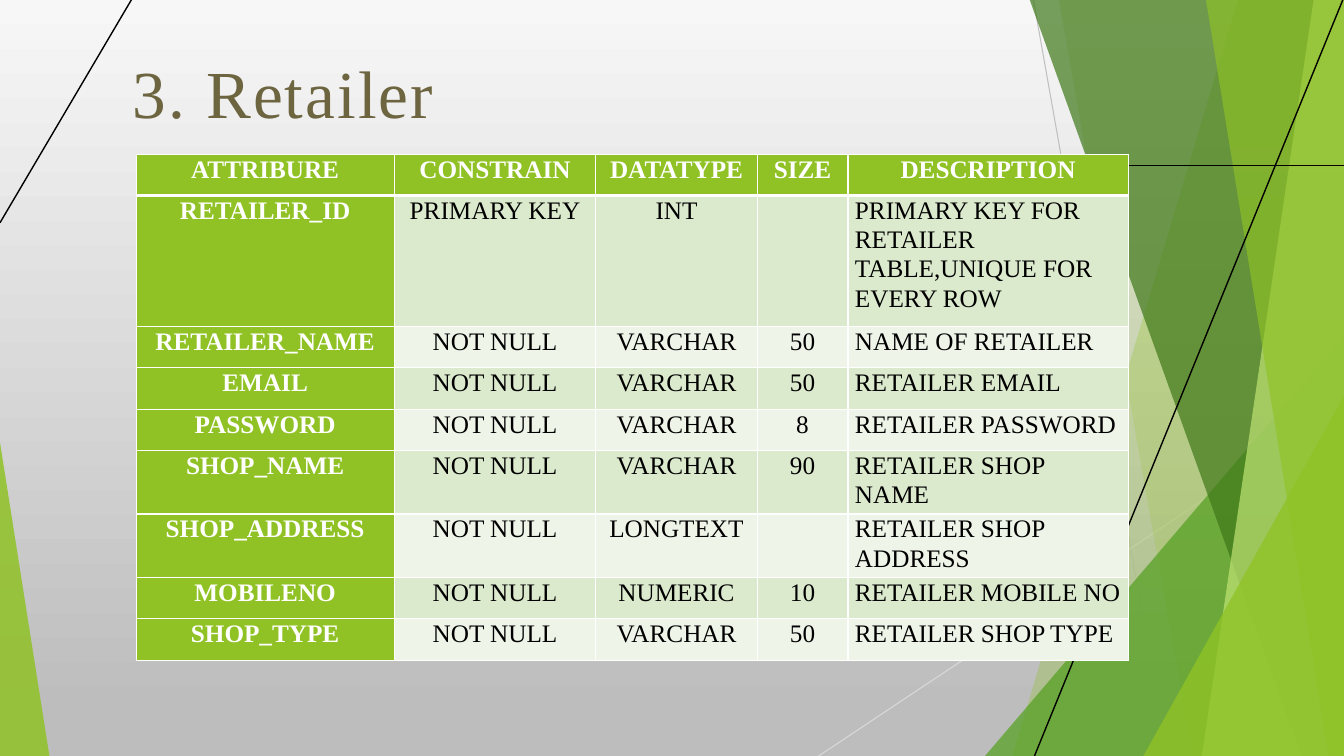
from dataclasses import dataclass

from lxml import etree
from pptx import Presentation
from pptx.dml.color import RGBColor
from pptx.enum.shapes import MSO_CONNECTOR, MSO_SHAPE
from pptx.enum.text import MSO_ANCHOR, PP_ALIGN
from pptx.oxml.ns import qn
from pptx.util import Inches, Pt

STRAIGHT = MSO_CONNECTOR.STRAIGHT
TRIANGLE = MSO_SHAPE.ISOSCELES_TRIANGLE
BOTTOM = MSO_ANCHOR.BOTTOM
CENTER, LEFT = PP_ALIGN.CENTER, PP_ALIGN.LEFT


@dataclass(frozen=True)
class Theme:
    """Colours, font and type sizes of the slide."""
    font: str = "Times New Roman"
    title_size: int = 48
    cell_size: int = 18
    title: str = "6D6540"
    black: str = "000000"
    white: str = "FFFFFF"
    bg_top: str = "F7F7F7"
    bg_bottom: str = "BDBDBD"
    grey: str = "BFBFBF"
    pale_grey: str = "D9D9D9"
    lime: str = "90C226"
    pale_lime: str = "C0E474"
    green: str = "54A021"
    dark_green: str = "3F7819"
    band_dark: str = "DBE9CD"
    band_light: str = "EEF4E8"


THEME = Theme()
TOP, RIGHT, BASE = -0.01, 13.33, 7.5

COLUMN_WIDTHS = [2.56, 2, 1.6, 0.9, 2.78]
ROW_HEIGHT, TALL_ROW_HEIGHT = 0.41, 1.3
ROWS = [
    ("ATTRIBURE", "CONSTRAIN", "DATATYPE", "SIZE", "DESCRIPTION"),
    ("RETAILER_ID", "PRIMARY KEY", "INT", "",
     "PRIMARY KEY FOR RETAILER TABLE,UNIQUE FOR EVERY ROW"),
    ("RETAILER_NAME", "NOT NULL", "VARCHAR", "50", "NAME OF RETAILER"),
    ("EMAIL", "NOT NULL", "VARCHAR", "50", "RETAILER EMAIL"),
    ("PASSWORD", "NOT NULL", "VARCHAR", "8", "RETAILER PASSWORD"),
    ("SHOP_NAME", "NOT NULL", "VARCHAR", "90", "RETAILER SHOP NAME"),
    ("SHOP_ADDRESS", "NOT NULL", "LONGTEXT", "", "RETAILER SHOP ADDRESS"),
    ("MOBILENO", "NOT NULL", "NUMERIC", "10", "RETAILER MOBILE NO"),
    ("SHOP_TYPE", "NOT NULL", "VARCHAR", "50", "RETAILER SHOP TYPE"),
]


def rgb(color):
    """Turn a hex string into a colour."""
    return RGBColor.from_string(color)


def set_background(s):
    """Fill the slide with a vertical grey gradient."""
    fill = s.background.fill
    fill.gradient()
    fill.gradient_angle = 270
    stops = ((0, THEME.bg_top), (0.94, THEME.bg_bottom))
    for stop, (position, color) in zip(fill.gradient_stops, stops):
        stop.position = position
        stop.color.rgb = rgb(color)


def paint(shape, color, opacity):
    """Give a shape a translucent fill without line or shadow."""
    shape.shadow.inherit = False
    shape.line.fill.background()
    shape.fill.solid()
    shape.fill.fore_color.rgb = rgb(color)
    clr = shape.fill._xPr.find(f".//{qn('a:srgbClr')}")
    etree.SubElement(clr, qn("a:alpha"), val=str(opacity * 1000))


def add_facet(s, top_left, top_right, bottom_left, color, opacity):
    """Draw a slanted panel that runs to the right edge of the slide."""
    points = [(top_right, TOP), (RIGHT, BASE), (bottom_left, BASE)]
    builder = s.shapes.build_freeform(Inches(top_left), Inches(TOP), scale=1.0)
    builder.add_line_segments([(Inches(x), Inches(y)) for x, y in points])
    paint(builder.convert_to_shape(), color, opacity)


def add_triangle(s, left, top, width, apex, color, opacity):
    """Draw a triangle that stands on the bottom edge of the slide."""
    shape = s.shapes.add_shape(TRIANGLE, Inches(left), Inches(top),
                               Inches(width), Inches(BASE - top))
    shape.adjustments[0] = apex
    paint(shape, color, opacity)


def add_line(s, x1, y1, x2, y2, color, width):
    """Draw a straight line."""
    line = s.shapes.add_connector(STRAIGHT, Inches(x1), Inches(y1),
                                  Inches(x2), Inches(y2))
    line.line.color.rgb = rgb(color)
    line.line.width = Pt(width)
    etree.SubElement(line._element.spPr, qn("a:effectLst"))


def set_font(r, size, color, bold=False):
    """Format a run."""
    r.font.name = THEME.font
    r.font.size = Pt(size)
    r.font.bold = bold
    r.font.color.rgb = rgb(color)


def add_title(s, text):
    """Write the slide title."""
    box = s.shapes.add_textbox(Inches(1.22), Inches(0.37), Inches(7.97), Inches(0.99))
    tf = box.text_frame
    tf.word_wrap = True
    tf.vertical_anchor = BOTTOM
    tf.text = text
    r = tf.paragraphs[0].runs[0]
    set_font(r, THEME.title_size, THEME.title)
    r._r.get_or_add_rPr().set("spc", "150")


def set_borders(cell, top, bottom):
    """Draw white borders around a cell, with widths in points."""
    tc_pr = cell._tc.get_or_add_tcPr()
    for side, width in (("L", 1), ("R", 1), ("T", top), ("B", bottom)):
        ln = etree.SubElement(tc_pr, qn(f"a:ln{side}"), w=str(Pt(width)))
        fill = etree.SubElement(ln, qn("a:solidFill"))
        etree.SubElement(fill, qn("a:srgbClr"), val=THEME.white)


def fill_cell(cell, text, row, col):
    """Write and format one cell according to its place in the table."""
    heading = row == 0 or col == 0
    band = THEME.band_dark if row % 2 else THEME.band_light
    set_borders(cell, 3 if row == 1 else 1, 3 if row == 0 else 1)
    cell.fill.solid()
    cell.fill.fore_color.rgb = rgb(THEME.lime if heading else band)
    cell.margin_left = cell.margin_right = Inches(0.07)
    cell.margin_top = cell.margin_bottom = 0
    cell.text_frame.text = text
    p = cell.text_frame.paragraphs[0]
    p.alignment = LEFT if row and col == len(COLUMN_WIDTHS) - 1 else CENTER
    p.line_spacing = 1.05
    p.space_after = Pt(10)
    for r in p.runs:
        set_font(r, THEME.cell_size, THEME.white if heading else THEME.black, heading)


def add_attribute_table(s):
    """Build the table of retailer attributes."""
    heights = [TALL_ROW_HEIGHT if i == 1 else ROW_HEIGHT for i in range(len(ROWS))]
    frame = s.shapes.add_table(len(ROWS), len(COLUMN_WIDTHS), Inches(1.35), Inches(1.53),
                               Inches(sum(COLUMN_WIDTHS)), Inches(sum(heights)))
    table = frame.table
    for column, width in zip(table.columns, COLUMN_WIDTHS):
        column.width = Inches(width)
    for row, height in zip(table.rows, heights):
        row.height = Inches(height)
    for i, values in enumerate(ROWS):
        for j, text in enumerate(values):
            fill_cell(table.cell(i, j), text, i, j)


def add_decoration(s):
    """Draw the green panels and thin lines behind the content."""
    add_line(s, 10.25, 0, 11.58, BASE, THEME.grey, 0.75)
    add_line(s, RIGHT, 4.03, 8.12, BASE, THEME.pale_grey, 0.75)
    add_facet(s, 12.28, RIGHT, 10.04, THEME.lime, 30)
    add_facet(s, 10.5, RIGHT, 11.83, THEME.lime, 20)
    add_triangle(s, 9.77, 3.33, 3.56, 1, THEME.green, 72)
    add_facet(s, 10.21, RIGHT, 12.91, THEME.dark_green, 70)
    add_facet(s, 13.03, RIGHT, 11.92, THEME.pale_lime, 70)
    add_facet(s, 11.96, RIGHT, 13.18, THEME.lime, 65)
    add_triangle(s, 11.34, 3.93, 1.99, 1, THEME.lime, 80)
    add_triangle(s, 0, 4.39, 0.49, 0, THEME.lime, 85)
    add_line(s, 9.95, 1.64, RIGHT, 1.64, THEME.black, 1)
    add_line(s, RIGHT, -0.03, 10.26, BASE, THEME.black, 1)
    add_line(s, 0, 2.21, 1.32, -0.03, THEME.black, 1)


def main():
    """Build the slide and save it."""
    prs = Presentation()
    prs.slide_width, prs.slide_height = Inches(RIGHT), Inches(BASE)
    s = prs.slides.add_slide(prs.slide_layouts[6])
    set_background(s)
    add_decoration(s)
    add_title(s, "3. Retailer")
    add_attribute_table(s)
    prs.save("out.pptx")


if __name__ == "__main__":
    main()
